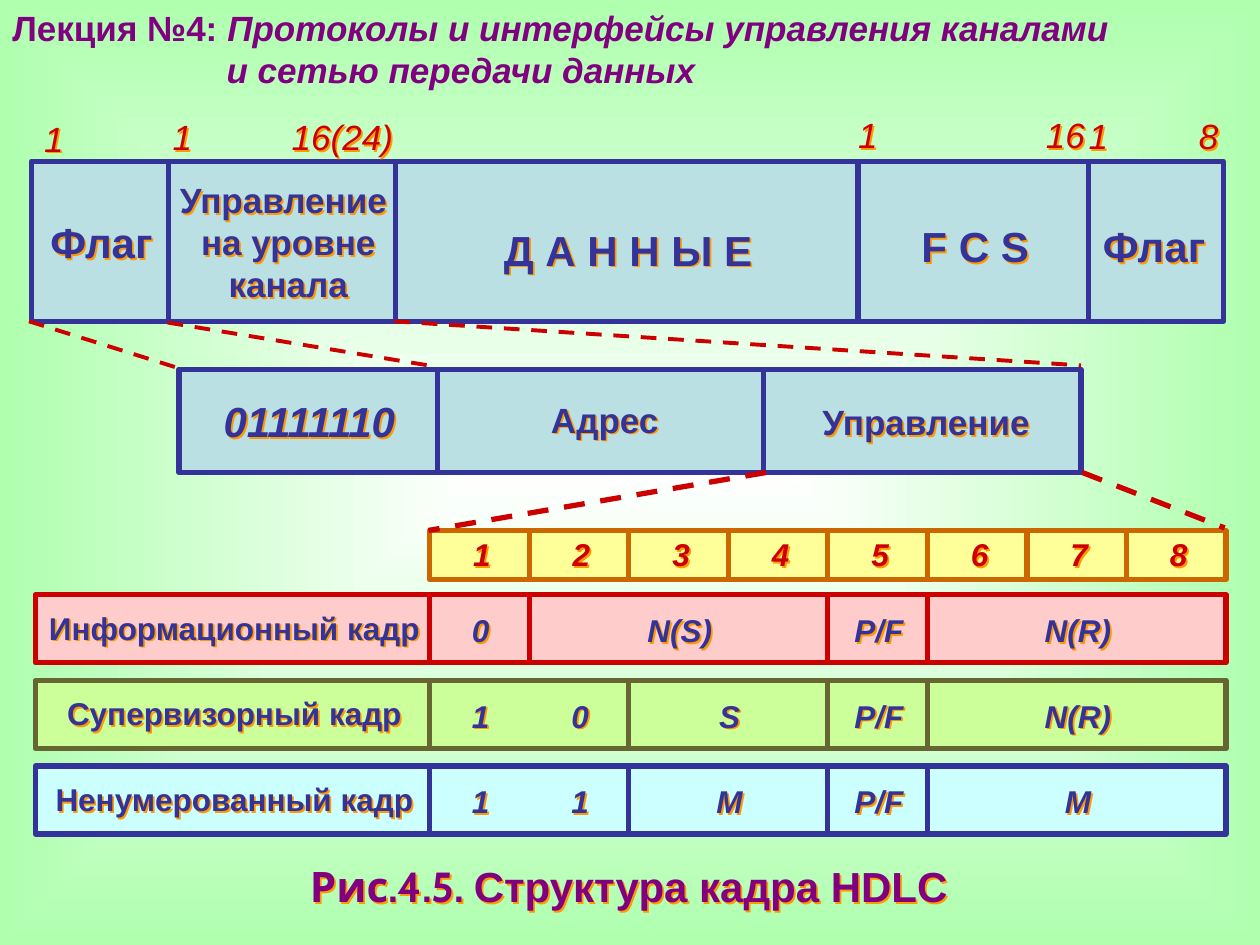
from lxml import etree
from pptx import Presentation, util as u
from pptx.dml.color import RGBColor
from pptx.enum import dml, shapes, text
from pptx.oxml import parse_xml
from pptx.oxml.ns import nsdecls, qn

NAVY, RED, PURPLE, PALE = "333399", "CC0000", "800080", "BBE0E3"
rgb = RGBColor.from_string

prs = Presentation()
prs.slide_width, prs.slide_height = u.Inches(10), u.Inches(7.5)
s = prs.slides.add_slide(prs.slide_layouts[6])

# Background: white centre fading to green
s._element.cSld.insert(0, parse_xml(
    f'<p:bg {nsdecls("p", "a")}><p:bgPr><a:gradFill rotWithShape="0"><a:gsLst>'
    '<a:gs pos="0"><a:srgbClr val="FFFFFF"/></a:gs>'
    '<a:gs pos="100000"><a:srgbClr val="AFFFAF"/></a:gs></a:gsLst>'
    '<a:path path="shape"><a:fillToRect l="50000" t="50000" r="50000" b="50000"/></a:path>'
    '</a:gradFill><a:effectLst/></p:bgPr></p:bg>'))


def line(x1, y1, x2, y2, color, width=3, dashed=False):
    c = s.shapes.add_connector(shapes.MSO_CONNECTOR.STRAIGHT,
                               *map(u.Inches, (x1, y1, x2, y2)))
    c.line.color.rgb = rgb(color)
    c.line.width = u.Pt(width)
    if dashed:
        c.line.dash_style = dml.MSO_LINE.DASH
    etree.SubElement(c._element.spPr, qn("a:effectLst"))


def label(x, y, w, lines, size, color=NAVY, bold=True, italic=False,
          centred=True, shadow=True, inset=(0, 0)):
    """Text box; each line is a string or a list of (text, italic, font) runs."""
    lines = [lines] if isinstance(lines, str) else lines
    h = len(lines) * size / 60 + 2 * inset[1]
    sp = s.shapes.add_textbox(*map(u.Inches, (x, y, w, h)))
    tf = sp.text_frame
    tf.word_wrap = True
    tf.margin_left = tf.margin_right = u.Inches(inset[0])
    tf.margin_top = tf.margin_bottom = u.Inches(inset[1])
    for i, runs in enumerate(lines):
        p = tf.add_paragraph() if i else tf.paragraphs[0]
        p.alignment = text.PP_ALIGN.CENTER if centred else text.PP_ALIGN.LEFT
        for words, slanted, font in [(runs, italic, "Arial")] if isinstance(runs, str) else runs:
            r = p.add_run()
            r.text = words
            r.font.name, r.font.size = font, u.Pt(size)
            r.font.bold, r.font.italic = bold, slanted
            r.font.color.rgb = rgb(color)
    if shadow:
        sp._element.spPr.append(parse_xml(
            f'<a:effectLst {nsdecls("a")}><a:outerShdw dist="17961" dir="2700000">'
            '<a:srgbClr val="FF9900"/></a:outerShdw></a:effectLst>'))
    return tf


# Title, second line indented to the lecture's name
tf = label(0, 0, 9.03, [
    [("Лекция №4: ", False, "Arial"),
     ("Протоколы и интерфейсы управления каналами", True, "Arial")],
    [("и сетью передачи данных", True, "Arial")],
], 20, PURPLE, centred=False, shadow=False, inset=(0.1, 0.05))
tf.paragraphs[1]._p.get_or_add_pPr().set("marL", str(u.Inches(1.7)))

# Eight bit columns and three frame rows
BIT0, BIT = 3.41, 0.79
ROW0, ROW, ROW_H = 4.72, 0.68, 0.54
frames = [
    ("Информационный кадр", "FFCCCC", RED, [0, 1, 4, 5],
     [("0", 0.5), ("N(S)", 2.5), ("P/F", 4.5), ("N(R)", 6.5)]),
    ("Супервизорный кадр", "CCFF99", "666633", [0, 2, 4, 5],
     [("1", 0.5), ("0", 1.5), ("S", 3), ("P/F", 4.5), ("N(R)", 6.5)]),
    ("Ненумерованный кадр", "CCFFFF", NAVY, [0, 2, 4, 5],
     [("1", 0.5), ("1", 1.5), ("M", 3), ("P/F", 4.5), ("M", 6.5)]),
]

# Bars with their dividers: left, top, width, height, fill, line, dividers
bars = [
    (0.25, 1.28, 9.46, 1.27, PALE, NAVY, [1.34, 3.14, 6.81, 8.64]),
    (1.42, 2.93, 7.16, 0.82, PALE, NAVY, [3.47, 6.06]),
    (BIT0, 4.21, 8 * BIT, 0.39, "FFFF99", "CC6600", [BIT0 + BIT * i for i in range(1, 8)]),
]
bars += [(0.28, ROW0 + ROW * n, 9.45, ROW_H, fill, edge, [BIT0 + BIT * i for i in cuts])
         for n, (_, fill, edge, cuts, _) in enumerate(frames)]
for x, y, w, h, fill, edge, cuts in bars:
    sp = s.shapes.add_shape(shapes.MSO_SHAPE.RECTANGLE, *map(u.Inches, (x, y, w, h)))
    sp.shadow.inherit = False
    sp.fill.solid()
    sp.fill.fore_color.rgb = rgb(fill)
    sp.line.color.rgb = rgb(edge)
    sp.line.width = u.Pt(3)
    for cut in cuts:
        line(cut, y, cut, y + h, edge)

# Bit numbers above the frame, the last one on a right tab
for x, y, w, numbers in [(0.35, 0.93, 0.96, "1"), (1.37, 0.92, 1.77, "1\t16(24)"),
                         (6.81, 0.9, 1.82, "1\t16"), (8.64, 0.91, 1.05, "1\t8")]:
    tf = label(x, y, w, numbers, 20, RED, bold=False, italic=True, centred=False)
    tabs = etree.SubElement(tf.paragraphs[0]._p.get_or_add_pPr(), qn("a:tabLst"))
    etree.SubElement(tabs, qn("a:tab"), pos=str(u.Inches(w - 0.02)), algn="r")

# Field names
for x, y, w, name, size in [
    (0.28, 1.72, 1.05, "Флаг", 24),
    (1.33, 1.42, 1.84, ["Управление", " на уровне", " канала"], 20),
    (3.87, 1.78, 2.23, "Д А Н Н Ы Е", 24),
    (7.16, 1.75, 1.16, "F C S", 24),
    (8.58, 1.75, 1.16, "Флаг", 24),
    (3.88, 3.16, 1.84, "Адрес", 20),
    (6.43, 3.18, 1.84, "Управление", 20),
]:
    label(x, y, w, name, size)
label(1.49, 3.14, 1.93, "01111110", 24, italic=True)

# Bit numbers and frame contents, centred on the bit columns
for i in range(8):
    label(BIT0 + BIT * (i + 0.5) - 0.2, 4.25, 0.44, str(i + 1), 18, RED, italic=True)
for n, (name, _, _, _, fields) in enumerate(frames):
    top = ROW0 + ROW * n
    label(0.32, top + 0.11, 3.08, name, 18)
    for field, col in fields:
        label(BIT0 + BIT * col - 0.28, top + 0.13, 0.58, field, 18, italic=True)

# Dashed expansion lines
for x1, y1, x2, y2, width in [
    (0.23, 2.55, 1.41, 2.92, 2.25), (1.33, 2.56, 3.46, 2.91, 2.25),
    (3.13, 2.55, 8.58, 2.9, 2.25), (6.08, 3.75, 3.4, 4.21, 3), (8.59, 3.75, 9.72, 4.19, 3),
]:
    line(x1, y1, x2, y2, RED, width, dashed=True)

# Caption
label(1.84, 6.78, 6.3, [[("Рис.4.5. ", False, "Cabin"),
                         ("Структура кадра HDLC", False, "Arial")]],
      24, PURPLE, inset=(0.1, 0.05))

prs.save("out.pptx")
